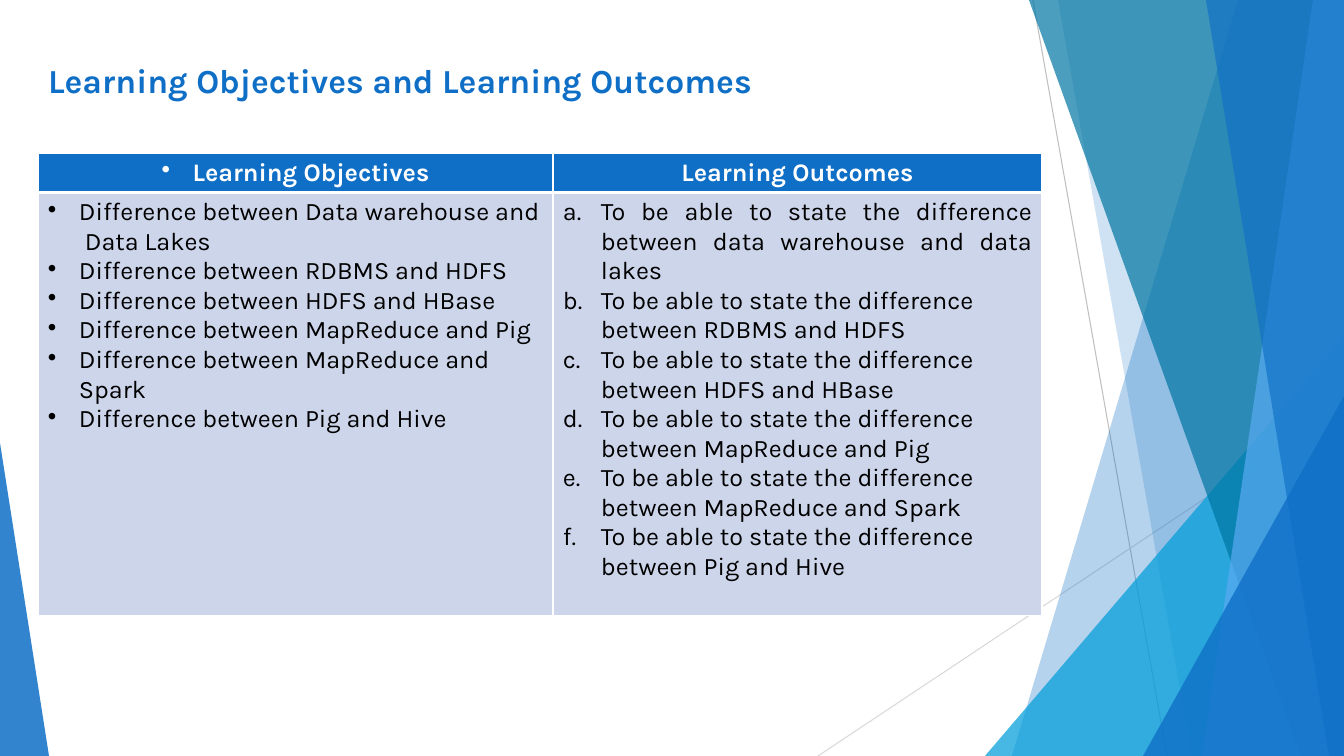
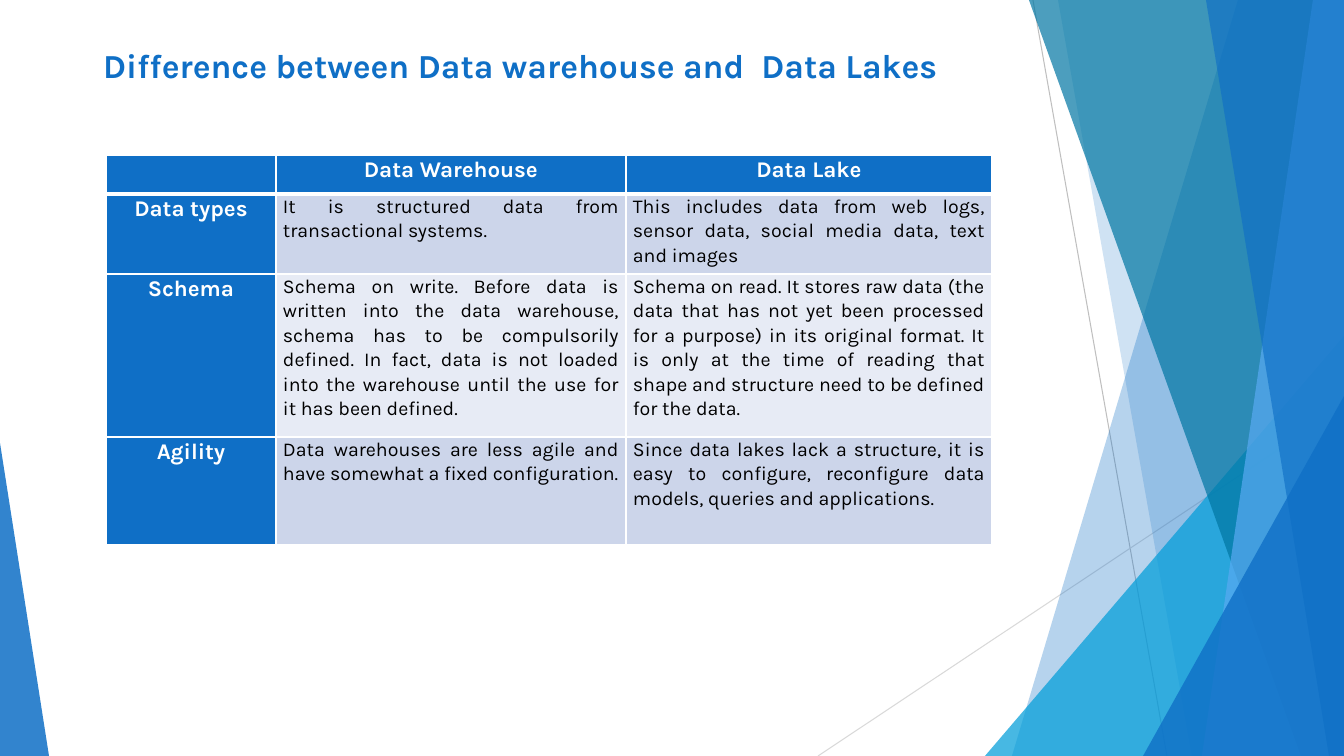
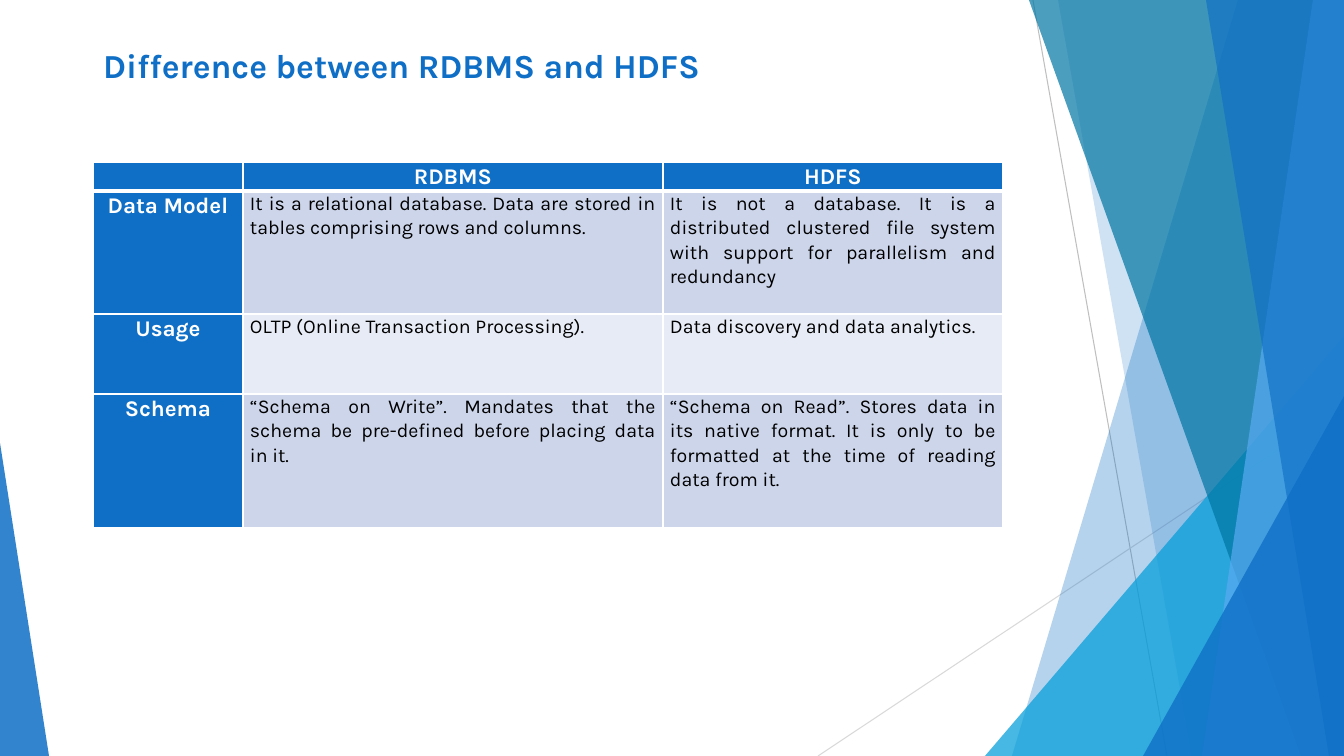
from dataclasses import dataclass

from lxml.etree import SubElement
from pptx import Presentation
from pptx.dml.color import RGBColor
from pptx.enum.shapes import MSO_CONNECTOR, MSO_SHAPE
from pptx.enum.text import MSO_ANCHOR, MSO_AUTO_SIZE, PP_ALIGN
from pptx.oxml.ns import qn
from pptx.util import Emu, Pt

WIDTH, HEIGHT = 1344, 756


@dataclass(frozen=True)
class Theme:
    font: str = "Karla"
    blue: str = "0F6FC6"
    cyan: str = "009DD9"
    teal: str = "0076A3"
    sky: str = "59AAF2"
    line_dark: str = "BFBFBF"
    line_light: str = "D9D9D9"
    row_odd: str = "CCD5EA"
    row_even: str = "E7EBF5"
    white: str = "FFFFFF"
    black: str = "000000"
    title_size: int = 24
    list_size: int = 18
    head_size: int = 16
    body_size: int = 14
    line_spacing: float = 1.07


THEME = Theme()


def px(value):
    """Turn pixels (100.8 to the inch) into EMU."""
    return Emu(round(value * 914400 / 100.8))


def rgb(color):
    return RGBColor.from_string(color)


def style(para, size, color, bold, align=PP_ALIGN.LEFT):
    para.alignment = align
    font = para.font
    font.name, font.size, font.bold = THEME.font, Pt(size), bold
    font.color.rgb = rgb(color)


# Backdrop
def paint(shape, color, opacity):
    shape.shadow.inherit = False
    shape.line.fill.background()
    shape.fill.solid()
    shape.fill.fore_color.rgb = rgb(color)
    color_element = shape.fill._xPr.find(".//" + qn("a:srgbClr"))
    SubElement(color_element, qn("a:alpha")).set("val", str(opacity * 1000))


def add_line(page, start, end, color):
    line = page.shapes.add_connector(
        MSO_CONNECTOR.STRAIGHT, *map(px, start + end))
    line.line.color.rgb = rgb(color)
    line.line.width = Pt(0.75)
    SubElement(line._element.spPr, qn("a:effectLst"))


def add_band(page, top_x, bottom_x, color, opacity):
    """A full-height band from a slanted left edge to the right of the slide."""
    builder = page.shapes.build_freeform(px(top_x), px(0))
    corners = [(WIDTH, 0), (WIDTH, HEIGHT), (bottom_x, HEIGHT)]
    builder.add_line_segments([(px(x), px(y)) for x, y in corners], close=True)
    paint(builder.convert_to_shape(), color, opacity)


def add_corner(page, left, top, width, apex, color, opacity):
    """A triangle standing on the bottom edge; apex 0 is left, 1 is right."""
    corner = page.shapes.add_shape(
        MSO_SHAPE.ISOSCELES_TRIANGLE,
        px(left), px(top), px(width), px(HEIGHT - top))
    corner.adjustments[0] = apex
    paint(corner, color, opacity)


def add_backdrop(deck, layout):
    """Draw the facets on a page, then move them to the layout all pages use."""
    page = deck.slides.add_slide(layout)
    placeholders = len(page.shapes)
    add_line(page, (1033, 0), (1167, HEIGHT), THEME.line_dark)
    add_line(page, (WIDTH, 406), (818, HEIGHT), THEME.line_light)
    add_band(page, 1238, 1012, THEME.blue, 30)
    add_band(page, 1058, 1192, THEME.blue, 20)
    add_corner(page, 985, 336, 359, 1, THEME.cyan, 72)
    add_band(page, 1029, 1301, THEME.teal, 70)
    add_band(page, 1313, 1202, THEME.sky, 70)
    add_band(page, 1206, 1329, THEME.blue, 65)
    add_corner(page, 1143, 396, 201, 1, THEME.blue, 80)
    add_corner(page, 0, 443, 49, 0, THEME.blue, 85)
    for shape in list(page.shapes)[placeholders:]:
        layout.shapes._spTree.append(shape._element)
    return page


# Titles
def set_title(page, text, left, top, width, height):
    title = page.shapes.title
    title.left, title.top = px(left), px(top)
    title.width, title.height = px(width), px(height)
    frame = title.text_frame
    frame.text = text
    frame.word_wrap = True
    frame.auto_size = MSO_AUTO_SIZE.NONE
    frame.vertical_anchor = MSO_ANCHOR.TOP
    style(frame.paragraphs[0], THEME.title_size, THEME.blue, True)


# Tables
def format_cell(cell, fill, row, margin_x, margin_y):
    cell.margin_left = cell.margin_right = px(margin_x)
    cell.margin_top = cell.margin_bottom = px(margin_y)
    points = {"L": 1, "R": 1, "T": 3 if row == 1 else 1, "B": 3 if row == 0 else 1}
    properties = cell._tc.get_or_add_tcPr()
    for side, width in points.items():
        border = SubElement(properties, qn("a:ln" + side), w=str(Pt(width)))
        border_fill = SubElement(border, qn("a:solidFill"))
        SubElement(border_fill, qn("a:srgbClr")).set("val", THEME.white)
    cell.fill.solid()
    cell.fill.fore_color.rgb = rgb(fill)


def add_grid(page, left, top, widths, heights):
    table = page.shapes.add_table(
        len(heights), len(widths), px(left), px(top),
        px(sum(widths)), px(sum(heights))).table
    table.horz_banding = False
    for column, width in zip(table.columns, widths):
        column.width = px(width)
    for row, height in zip(table.rows, heights):
        row.height = px(height)
    return table


def set_bullet(para, indent, tag, **attributes):
    properties = para._p.get_or_add_pPr()
    properties.set("marL", str(px(indent)))
    properties.set("indent", str(-px(indent)))
    SubElement(properties, qn("a:" + tag), **attributes)


def fill_list(cell, items, indent, tag, **attributes):
    frame = cell.text_frame
    frame.text = "\n".join(items)
    for para in frame.paragraphs:
        set_bullet(para, indent, tag, **attributes)
        style(para, THEME.list_size, THEME.black, False)


def add_goals(page, objectives, outcomes):
    table = add_grid(page, 38, 153, [515, 489], [39, 423])
    for row, fill in enumerate((THEME.blue, THEME.row_odd)):
        for cell in table.rows[row].cells:
            format_cell(cell, fill, row, 10, 5)
    dot = {"tag": "buChar", "char": "•"}
    for column, text in enumerate(("Learning Objectives", "Learning Outcomes")):
        cell = table.cell(0, column)
        cell.text = text
        para = cell.text_frame.paragraphs[0]
        if column == 0:
            set_bullet(para, 31, **dot)
        style(para, THEME.list_size, THEME.white, True, PP_ALIGN.CENTER)
    fill_list(table.cell(1, 0), objectives, 31, **dot)
    fill_list(table.cell(1, 1), outcomes, 38, "buAutoNum", type="alphaLcPeriod")
    table.cell(1, 1).text_frame.paragraphs[0].alignment = PP_ALIGN.JUSTIFY


def add_comparison(page, left, top, widths, heights, rows):
    table = add_grid(page, left, top, widths, heights)
    for row, texts in enumerate(rows):
        for column, text in enumerate(texts):
            cell = table.cell(row, column)
            heading = row == 0 or column == 0
            band = THEME.row_odd if row % 2 else THEME.row_even
            format_cell(cell, THEME.blue if heading else band, row, 7, 0)
            cell.text = text
            para = cell.text_frame.paragraphs[0]
            para.line_spacing = THEME.line_spacing
            if heading:
                style(para, THEME.head_size, THEME.white, True, PP_ALIGN.CENTER)
            else:
                style(para, THEME.body_size, THEME.black, False, PP_ALIGN.JUSTIFY)
            if not text:
                SubElement(para._p, qn("a:endParaRPr"), sz=str(THEME.head_size * 100))


def main():
    deck = Presentation()
    deck.slide_width, deck.slide_height = px(WIDTH), px(HEIGHT)
    layout = deck.slide_layouts.get_by_name("Title Only")

    # Objectives and outcomes
    page = add_backdrop(deck, layout)
    set_title(page, "Learning Objectives and Learning Outcomes", 38, 55, 800, 51)
    pairs = ["RDBMS and HDFS", "HDFS and HBase", "MapReduce and Pig",
             "MapReduce and Spark", "Pig and Hive"]
    add_goals(
        page,
        [f"Difference between {pair}"
         for pair in ["Data warehouse and  Data Lakes"] + pairs],
        [f"To be able to state the difference between {pair}"
         for pair in ["data warehouse and data lakes"] + pairs])

    # Data warehouse and data lake
    title_place = (93, 40, 1159, 40)
    page = deck.slides.add_slide(layout)
    set_title(page, "Difference between Data warehouse and  Data Lakes", *title_place)
    add_comparison(page, 106, 155, [170, 350, 366], [39, 80, 163, 108], [
        ("", "Data Warehouse", "Data Lake"),
        ("Data types",
         "It is structured data from transactional systems.",
         "This includes data from web logs, sensor data, social media data, "
         "text and images"),
        ("Schema",
         "Schema on write. Before data is written into the data warehouse, "
         "schema has to be compulsorily defined. In fact, data is not loaded "
         "into the warehouse until the use for it has been defined.",
         "Schema on read. It stores raw data (the data that has not yet been "
         "processed for a purpose) in its original format. It is only at the "
         "time of reading that shape and structure need to be defined for "
         "the data."),
        ("Agility",
         "Data warehouses are less agile and have somewhat a fixed "
         "configuration.",
         "Since data lakes lack a structure, it is easy to configure, "
         "reconfigure data models, queries and applications."),
    ])

    # RDBMS and HDFS
    page = deck.slides.add_slide(layout)
    set_title(page, "Difference between RDBMS and HDFS", *title_place)
    add_comparison(page, 93, 162, [150, 420, 340], [29, 123, 80, 134], [
        ("", "RDBMS", "HDFS"),
        ("Data Model",
         "It is a relational database. Data are stored in tables comprising "
         "rows and columns.",
         "It is not a database. It is a distributed clustered file system "
         "with support for parallelism and redundancy"),
        ("Usage",
         "OLTP (Online Transaction Processing).",
         "Data discovery and data analytics."),
        ("Schema",
         "“Schema on Write”. Mandates that the schema be pre-defined before "
         "placing data in it.",
         "“Schema on Read”. Stores data in its native format. It is only to "
         "be formatted at the time of reading data from it."),
    ])

    deck.save("out.pptx")


if __name__ == "__main__":
    main()
